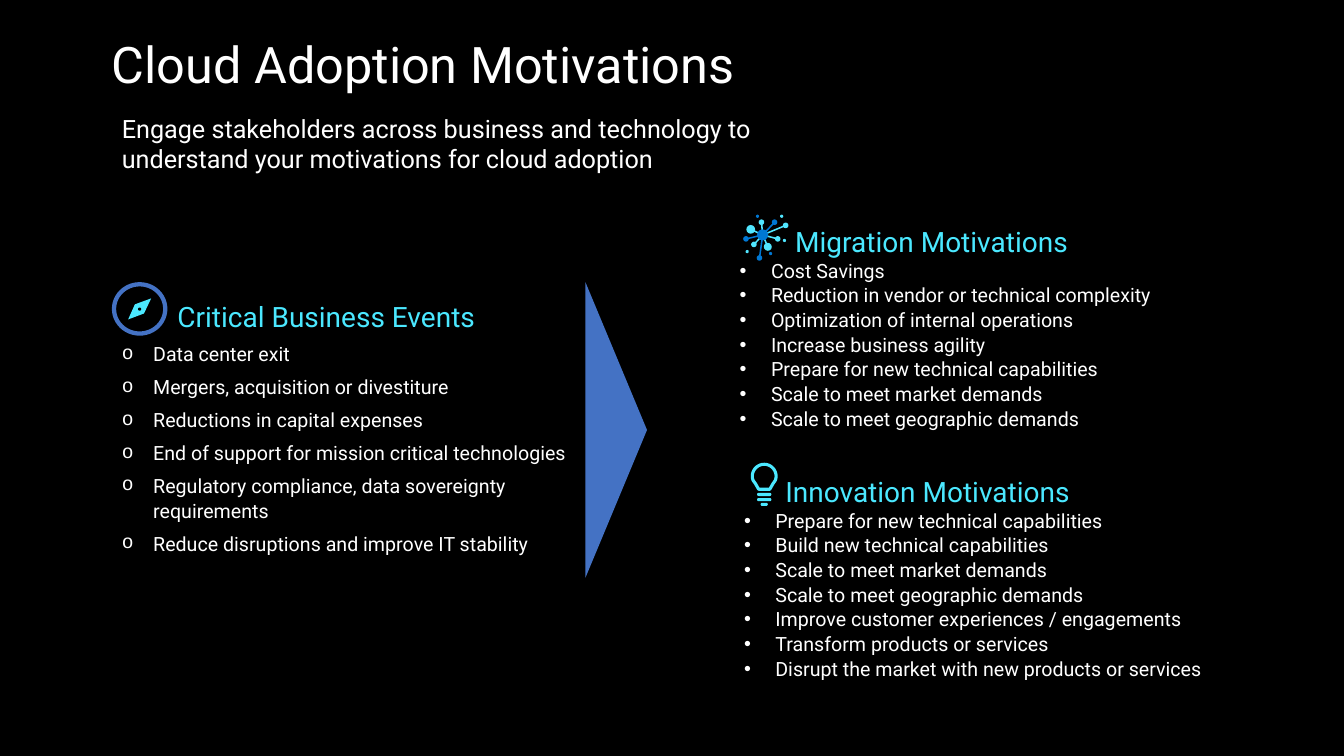
import math
import pptx
import pptx.util
import pptx.dml.color
import pptx.enum.shapes
import pptx.enum.text
import pptx.oxml.ns
import lxml.etree

Cm, Pt = pptx.util.Cm, pptx.util.Pt
KIND = pptx.enum.shapes.MSO_SHAPE
FONT = "Roboto"
HUES = {"back": "000000", "text": "FFFFFF", "head": "4BE8FF",
        "steel": "4472C4", "cyan": "50E6FF", "blue": "0078D4"}

TITLE = ("Cloud Adoption Motivations", (2.82, 1.24, 17.53, 1.14))
LEAD = ("Engage stakeholders across business and technology to "
        "understand your motivations for cloud adoption", (2.82, 2.72, 18.92, 1.8))
LISTS = [
    {"head": "Critical Business Events", "box": (3.07, 7.77, 12.17, 6.48),
     "inset": 1.4, "after": 5.9, "mark": ("o", "Courier New"),
     "items": ["Data center exit",
               "Mergers, acquisition or divestiture",
               "Reductions in capital expenses",
               "End of support for mission critical technologies",
               "Regulatory compliance, data sovereignty requirements",
               "Reduce disruptions and improve IT stability"]},
    {"head": "Migration Motivations", "box": (18.64, 5.87, 12.6, 5.26),
     "inset": 1.4, "after": 0, "mark": ("•", "Arial"),
     "items": ["Cost Savings",
               "Reduction in vendor or technical complexity",
               "Optimization of internal operations",
               "Increase business agility",
               "Prepare for new technical capabilities",
               "Scale to meet market demands",
               "Scale to meet geographic demands"]},
    {"head": "Innovation Motivations", "box": (18.75, 12.17, 13.28, 5.26),
     "inset": 1.04, "after": 0, "mark": ("•", "Arial"),
     "items": ["Prepare for new technical capabilities",
               "Build new technical capabilities",
               "Scale to meet market demands",
               "Scale to meet geographic demands",
               "Improve customer experiences / engagements",
               "Transform products or services",
               "Disrupt the market with new products or services"]},
]

HUB = (19.22, 5.92, 0.14)
NODES = [(19.0, 6.16, 0.07, "cyan"), (19.35, 6.22, 0.1, "cyan"),
         (19.6, 6.02, 0.07, "cyan"), (18.92, 5.78, 0.11, "cyan"),
         (19.8, 5.68, 0.07, "cyan"), (19.19, 5.6, 0.07, "cyan"),
         (18.8, 6.02, 0.07, "blue"), (19.14, 6.5, 0.07, "blue"),
         (19.52, 5.6, 0.07, "blue")]
DOTS = [(19.09, 5.45, "blue"), (18.83, 6.34, "cyan"), (19.77, 6.06, "cyan"),
        (19.42, 6.39, "blue"), (19.7, 5.45, "cyan")]
BULB = (19.26, 12.0, 0.3)
BARS = [(0.36, 12.42), (0.36, 12.55), (0.18, 12.67)]
NEEDLE = [(3.23, 8.05), (3.63, 7.9), (3.81, 7.52), (3.4, 7.67)]

deck = pptx.Presentation()
deck.slide_width, deck.slide_height = Cm(33.87), Cm(19.05)
slide = deck.slides.add_slide(deck.slide_layouts[4])
shapes = slide.shapes


def color(name):
    return pptx.dml.color.RGBColor.from_string(HUES[name])


def place(holder, box, inset=0):
    holder.left, holder.top, holder.width, holder.height = map(Cm, box)
    frame = holder.text_frame
    frame.word_wrap = True
    frame.auto_size = pptx.enum.text.MSO_AUTO_SIZE.NONE
    frame.vertical_anchor = pptx.enum.text.MSO_ANCHOR.TOP
    frame.margin_left = frame.margin_right = Cm(inset)
    frame.margin_top = frame.margin_bottom = Cm(inset / 2)
    return frame


def style(para, size, hue, line=None, after=0):
    para.alignment = pptx.enum.text.PP_ALIGN.LEFT
    para.space_before, para.space_after = Pt(0), Pt(after)
    if line:
        para.line_spacing = Pt(line)
    for run in para.runs:
        run.font.name, run.font.size = FONT, Pt(size)
        run.font.bold = False
        run.font.color.rgb = color(hue)


def indent(para, left, hang=0, mark=None):
    props = para._p.get_or_add_pPr()
    props.set("marL", str(Cm(left)))
    props.set("indent", str(-Cm(hang)))
    tag = pptx.oxml.ns.qn
    if mark:
        lxml.etree.SubElement(props, tag("a:buFont"), typeface=mark[1])
        lxml.etree.SubElement(props, tag("a:buChar"), char=mark[0])
    else:
        lxml.etree.SubElement(props, tag("a:buNone"))


def paint(shape, fill, edge=None):
    shape.shadow.inherit = False
    if fill:
        shape.fill.solid()
        shape.fill.fore_color.rgb = color(fill)
    else:
        shape.fill.background()
    if edge:
        shape.line.color.rgb = color(edge)
        shape.line.width = Pt(2.2)
    else:
        shape.line.fill.background()


def draw(kind, box, hue):
    shape = shapes.add_shape(kind, *map(Cm, box))
    paint(shape, hue)
    return shape


def disc(x, y, size, hue):
    draw(KIND.OVAL, (x - size, y - size, 2 * size, 2 * size), hue)


def outline(points, fill, edge=None):
    spots = [(Cm(x), Cm(y)) for x, y in points]
    maker = shapes.build_freeform(*spots[0])
    maker.add_line_segments(spots[1:], close=True)
    paint(maker.convert_to_shape(), fill, edge)


slide.background.fill.solid()
slide.background.fill.fore_color.rgb = color("back")

frame = place(shapes.title, TITLE[1])
frame.vertical_anchor = pptx.enum.text.MSO_ANCHOR.MIDDLE
frame.text = TITLE[0]
style(frame.paragraphs[0], 36, "text", 31.4)

bodies = list(slide.placeholders)[1:]
for body, group in zip(bodies, LISTS):
    frame = place(body, group["box"])
    frame.text = "\n".join([group["head"]] + group["items"])
    first, *rest = frame.paragraphs
    indent(first, group["inset"])
    style(first, 20, "head", 17.6, group["after"])
    for para in rest:
        indent(para, 0.79, 0.79, group["mark"])
        style(para, 14, "text", 17.6, group["after"])

frame = place(bodies[-1], LEAD[1], 0.25)
frame.text = LEAD[0]
indent(frame.paragraphs[0], 0)
style(frame.paragraphs[0], 18, "text")

draw(KIND.ISOSCELES_TRIANGLE, (11.81, 10.06, 7.44, 1.55), "steel").rotation = 90

for x, y, size, hue in NODES:
    link = shapes.add_connector(pptx.enum.shapes.MSO_CONNECTOR.STRAIGHT,
                                *map(Cm, (HUB[0], HUB[1], x, y)))
    link.line.color.rgb = color(hue)
    link.line.width = Pt(1.1)
    lxml.etree.SubElement(link._element.spPr, pptx.oxml.ns.qn("a:effectLst"))
    disc(x, y, size, hue)
disc(*HUB, "blue")
for x, y, hue in DOTS:
    disc(x, y, 0.04, hue)

mid, top, size = BULB
arc = [(mid + size * math.cos(math.radians(a)), top - size * math.sin(math.radians(a)))
       for a in range(-20, 201, 10)]
outline([(mid + 0.14, 12.33), (mid + 0.22, 12.19)] + arc
        + [(mid - 0.22, 12.19), (mid - 0.14, 12.33)], None, "head")
for wide, y in BARS:
    bar = draw(KIND.ROUNDED_RECTANGLE, (mid - wide / 2, y, wide, 0.08), "head")
    bar.adjustments[0] = 0.5

draw(KIND.DONUT, (2.82, 7.11, 1.4, 1.35), "steel").adjustments[0] = 0.08
outline(NEEDLE, "head")
disc(3.52, 7.79, 0.04, "back")

deck.save("out.pptx")
